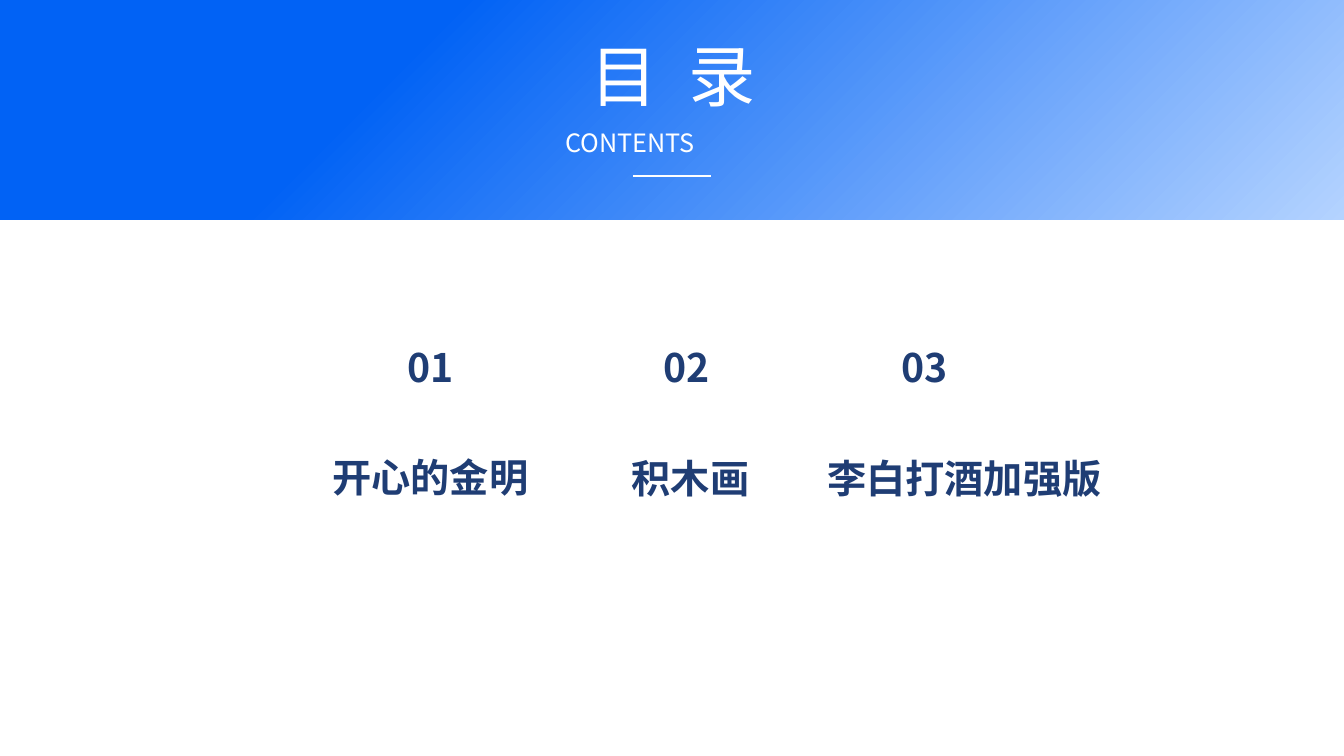
from lxml import etree
from pptx import Presentation
from pptx.dml.color import RGBColor
from pptx.enum.shapes import MSO_CONNECTOR, MSO_SHAPE
from pptx.enum.text import MSO_ANCHOR, MSO_AUTO_SIZE, PP_ALIGN
from pptx.oxml.ns import qn
from pptx.util import Pt

ROUND = MSO_SHAPE.ROUNDED_RECTANGLE
STRAIGHT = MSO_CONNECTOR.STRAIGHT
TOP = MSO_ANCHOR.TOP
GROW = MSO_AUTO_SIZE.SHAPE_TO_FIT_TEXT
CENTER = PP_ALIGN.CENTER
JUSTIFY = PP_ALIGN.JUSTIFY

WHITE = RGBColor(0xFF, 0xFF, 0xFF)
BLUE = RGBColor(0x01, 0x62, 0xF5)
PALE = RGBColor(0xB4, 0xD3, 0xFF)
NAVY = RGBColor(0x1F, 0x3D, 0x74)
FONT = "Noto Sans CJK SC"

WIDTH, HEIGHT = 1920, 1080
NUM_TOP, NUM_WIDTH, ROW = 486.7, 123, 75
ITEMS = [
    ("01", 553.7, "开心的金明", 447.8, 644.4, 334),
    ("02", 919.4, "积木画", 819.4, 645.8, 334),
    ("03", 1259.3, "李白打酒加强版", 1165.7, 645.8, 424),
]


def place(shape, left, top, width, height):
    shape.left, shape.top = Pt(left), Pt(top)
    shape.width, shape.height = Pt(width), Pt(height)


def add_run(para, text, size, color, bold=False, gap=0):
    run = para.add_run()
    run.text = text
    font = run.font
    font.size, font.bold, font.name = Pt(size), bold, FONT
    font.color.rgb = color
    props = run._r.get_or_add_rPr()
    etree.SubElement(props, qn("a:ea"), typeface=FONT)
    if gap:
        props.set("spc", str(round(gap * 100)))


def set_frame(shape, align):
    frame = shape.text_frame
    frame.word_wrap = True
    frame.auto_size = GROW
    frame.vertical_anchor = TOP
    para = frame.paragraphs[0]
    para.alignment = align
    para.line_spacing = 1.0
    para.space_before = Pt(0)
    return para


def add_label(slide, text, box, size, color, align=CENTER, bold=False):
    shape = slide.shapes.add_textbox(*map(Pt, box))
    add_run(set_frame(shape, align), text, size, color, bold)


def add_band(slide):
    band = slide.shapes.add_shape(ROUND, 0, Pt(-16.5), Pt(WIDTH), Pt(330.5))
    band.adjustments[0] = 0
    band.shadow.inherit = False
    band.line.fill.background()
    band.fill.gradient()
    band.fill.gradient_angle = 315
    stops = zip(band.fill.gradient_stops, (0.3, 1), (BLUE, PALE))
    for stop, pos, color in stops:
        stop.position = pos
        stop.color.rgb = color
    slide.shapes._spTree.insert(2, band._element)


def add_title(slide):
    title = slide.shapes.title
    place(title, 736.5, 45.4, 450, 124)
    para = set_frame(title, CENTER)
    add_run(para, "目 ", 96, WHITE, gap=10.75)
    add_run(para, "录", 96, WHITE)


def add_rule(slide, left, right, top):
    ends = map(Pt, (left, top, right, top))
    rule = slide.shapes.add_connector(STRAIGHT, *ends)
    rule.line.color.rgb = WHITE
    rule.line.width = Pt(1.75)
    etree.SubElement(rule._element.spPr, qn("a:effectLst"))


def main():
    deck = Presentation()
    deck.slide_width, deck.slide_height = Pt(WIDTH), Pt(HEIGHT)
    slide = deck.slides.add_slide(deck.slide_layouts[5])
    add_band(slide)
    add_title(slide)
    add_label(slide, "CONTENTS", (800.6, 178.6, 319, 51), 36, WHITE, JUSTIFY)
    add_rule(slide, 904.3, 1015.9, 251.3)
    for num, num_left, name, left, top, width in ITEMS:
        num_box = (num_left, NUM_TOP, NUM_WIDTH, ROW)
        add_label(slide, num, num_box, 56, NAVY, bold=True)
        add_label(slide, name, (left, top, width, ROW), 56, NAVY, bold=True)
    deck.save("out.pptx")


if __name__ == "__main__":
    main()
